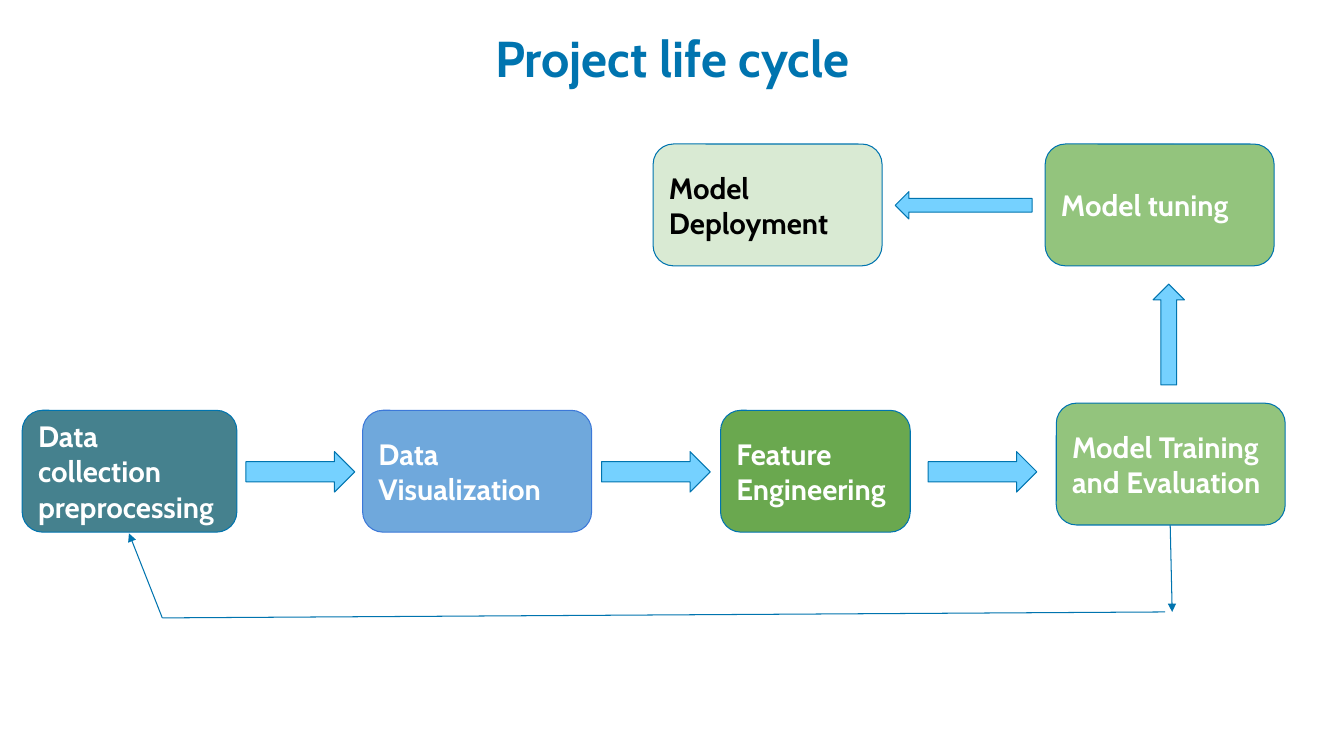
"""Build the project life cycle slide: six stages, block arrows and a feedback loop."""
import dataclasses

import lxml.etree
import pptx
import pptx.dml.color
import pptx.enum.shapes
import pptx.enum.text
import pptx.oxml.ns
import pptx.util

Cm, Pt = pptx.util.Cm, pptx.util.Pt
MSO_SHAPE = pptx.enum.shapes.MSO_SHAPE
PP_ALIGN = pptx.enum.text.PP_ALIGN
MSO_ANCHOR = pptx.enum.text.MSO_ANCHOR
rgb = pptx.dml.color.RGBColor.from_string
qn = pptx.oxml.ns.qn


@dataclasses.dataclass(frozen=True)
class Theme:
    font: str = "Cabin"
    title_size: int = 36
    stage_size: int = 21
    line_width: float = 0.75
    blue: str = "0074AF"
    arrow: str = "75D1FF"
    teal: str = "45818E"
    sky: str = "6FA8DC"
    sky_line: str = "3C78D8"
    green: str = "6AA84F"
    light_green: str = "93C47D"
    pale_green: str = "D9EAD3"
    white: str = "FFFFFF"
    black: str = "000000"


theme = Theme()


def add_block(slide, kind, box, fill, line):
    sp = slide.shapes.add_shape(kind, *[Cm(v) for v in box])
    sp.shadow.inherit = False
    sp.fill.solid()
    sp.fill.fore_color.rgb = rgb(fill)
    sp.line.color.rgb = rgb(line)
    sp.line.width = Pt(theme.line_width)
    return sp


def style_text(p, size, color, align):
    p.alignment = align
    p.font.name = theme.font
    p.font.size = Pt(size)
    p.font.bold = True
    p.font.color.rgb = rgb(color)


prs = pptx.Presentation()
prs.slide_width, prs.slide_height = Cm(33.87), Cm(19.05)
slide = prs.slides.add_slide(prs.slide_layouts[5])

title = slide.shapes.title
title.left, title.top, title.width, title.height = Cm(12.01), Cm(0.71), Cm(9.86), Cm(1.65)
tf = title.text_frame
tf.text = "Project life cycle"
tf.auto_size = pptx.enum.text.MSO_AUTO_SIZE.NONE
tf.vertical_anchor = MSO_ANCHOR.MIDDLE
tf.margin_left = tf.margin_right = Cm(0.41)
tf.margin_top = tf.margin_bottom = Cm(0.13)
tf.paragraphs[0].line_spacing = 0.9
style_text(tf.paragraphs[0], theme.title_size, theme.blue, PP_ALIGN.CENTER)

stage_width, stage_height = 5.77, 3.07
top_row, bottom_row = 3.63, 10.34
stages = [
    ("Data collection preprocessing", 0.56, bottom_row, 5.41, theme.teal, theme.blue, theme.white),
    ("Data Visualization", 9.14, bottom_row, stage_width, theme.sky, theme.sky_line, theme.white),
    ("Feature Engineering", 18.16, bottom_row, 4.78, theme.green, theme.blue, theme.white),
    ("Model Training and Evaluation", 26.62, 10.16, stage_width, theme.light_green, theme.blue, theme.white),
    ("Model tuning", 26.34, top_row, stage_width, theme.light_green, theme.blue, theme.white),
    ("Model Deployment", 16.46, top_row, stage_width, theme.pale_green, theme.blue, theme.black),
]
for text, x, y, width, fill, line, color in stages:
    sp = add_block(slide, MSO_SHAPE.ROUNDED_RECTANGLE, (x, y, width, stage_height), fill, line)
    tf = sp.text_frame
    tf.text = text
    tf.word_wrap = True
    tf.vertical_anchor = MSO_ANCHOR.MIDDLE
    tf.margin_left = tf.margin_right = tf.margin_top = tf.margin_bottom = Cm(0.25)
    style_text(tf.paragraphs[0], theme.stage_size, color, PP_ALIGN.LEFT)

arrows = [(MSO_SHAPE.RIGHT_ARROW, (x, 11.38, 2.74, 1.02)) for x in (6.2, 15.16, 23.39)]
arrows += [
    (MSO_SHAPE.UP_ARROW, (29.06, 7.16, 0.79, 2.54)),
    (MSO_SHAPE.LEFT_ARROW, (22.56, 4.83, 3.45, 0.69)),
]
for kind, box in arrows:
    add_block(slide, kind, box, theme.arrow, theme.blue)

feedback_lines = [
    ((4.09, 15.57, 29.36, 15.42), False),
    ((4.09, 15.57, 3.25, 13.44), True),
    ((29.49, 13.23, 29.54, 15.42), True),
]
for ends, has_head in feedback_lines:
    cxn = slide.shapes.add_connector(pptx.enum.shapes.MSO_CONNECTOR.STRAIGHT, *[Cm(v) for v in ends])
    cxn.line.color.rgb = rgb(theme.blue)
    cxn.line.width = Pt(theme.line_width)
    sp_pr = cxn.element.find(qn("p:spPr"))
    if has_head:
        lxml.etree.SubElement(sp_pr.find(qn("a:ln")), qn("a:tailEnd"), type="triangle")
    lxml.etree.SubElement(sp_pr, qn("a:effectLst"))

prs.save("out.pptx")
